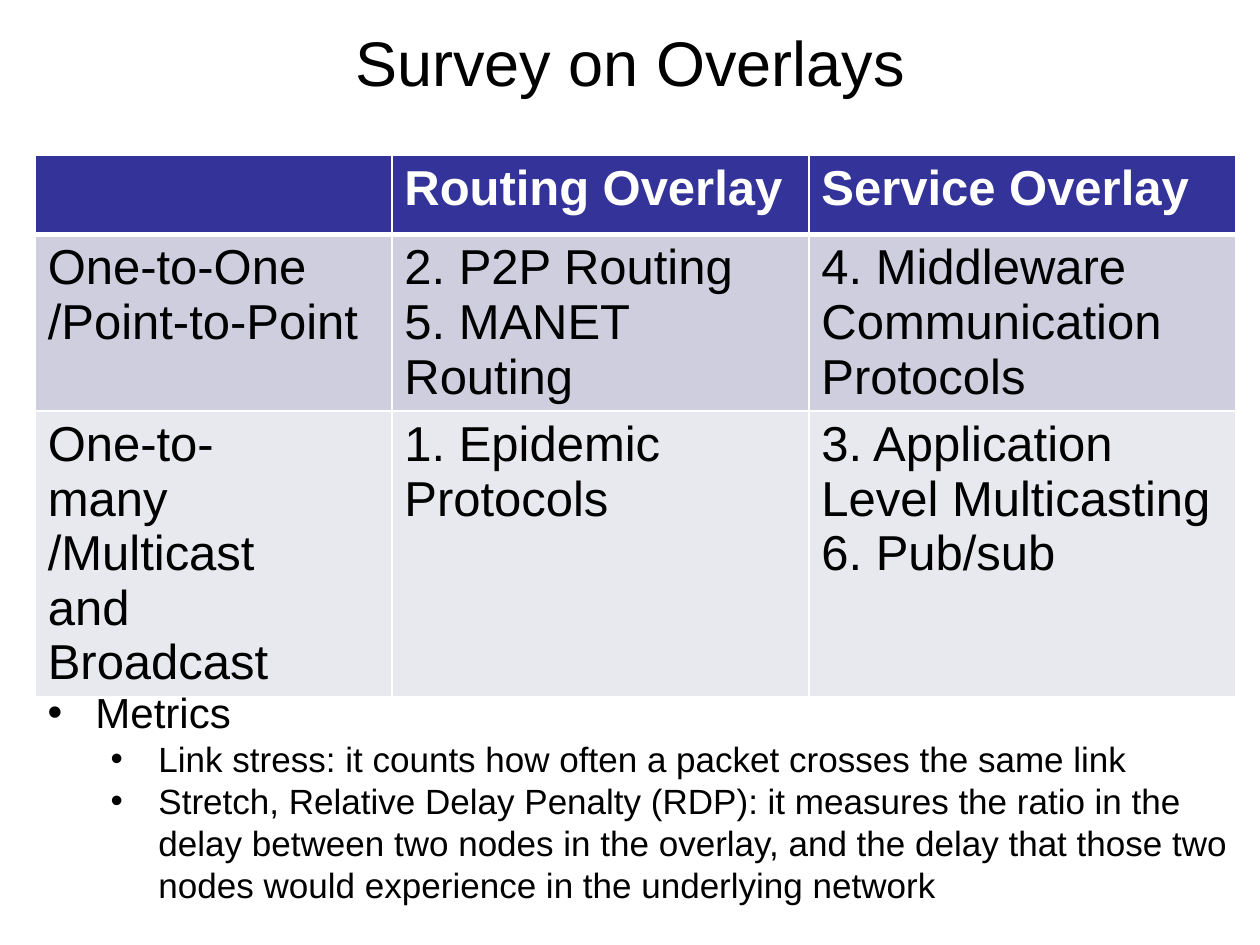
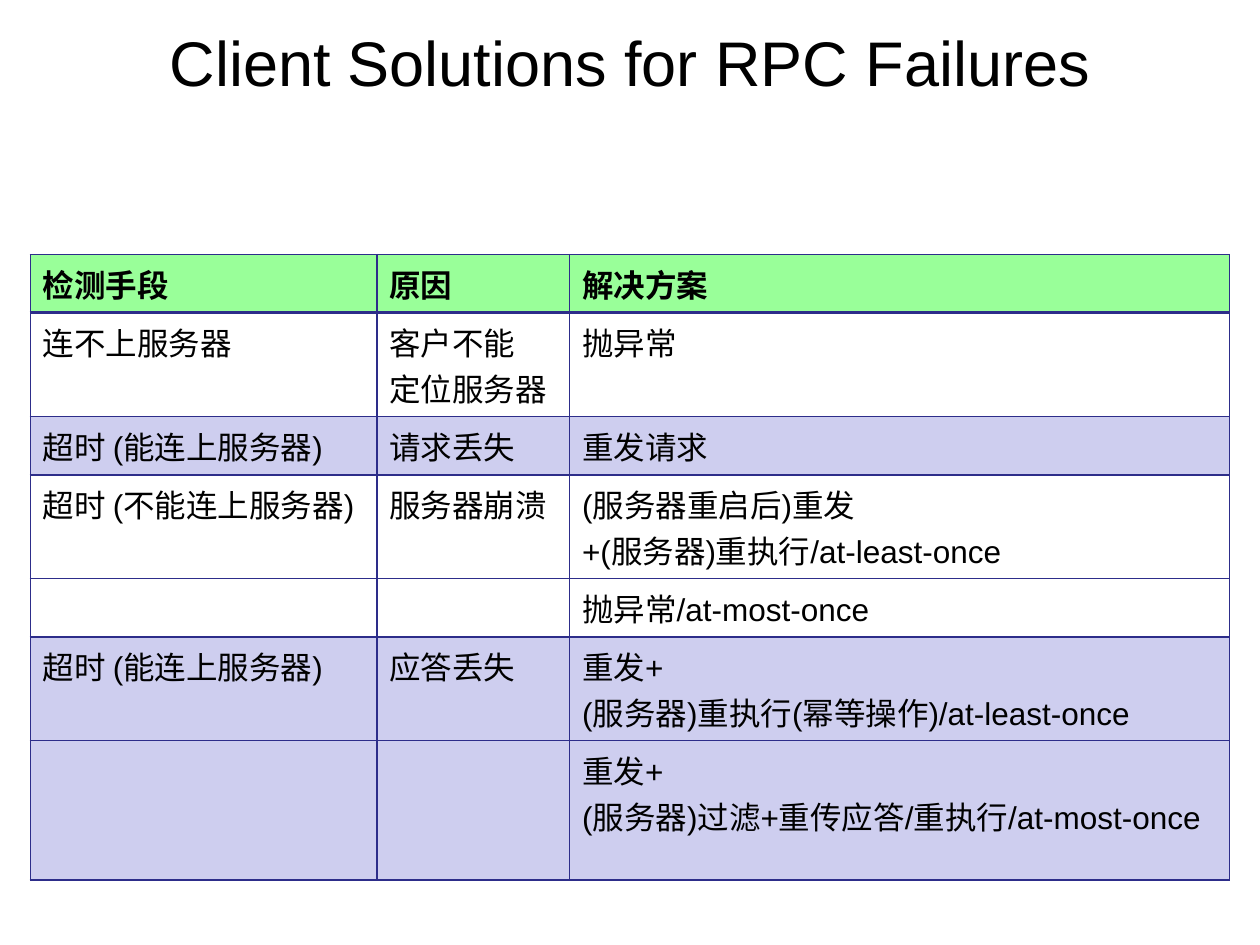
from lxml import etree
from pptx import Presentation
from pptx import util as u
from pptx.dml.color import RGBColor
from pptx.enum import text
from pptx.oxml.ns import qn

PX = 9144  # 100 px to the inch
FONT = "Arial"
BLACK = RGBColor(0x00, 0x00, 0x00)
WHITE = RGBColor(0xFF, 0xFF, 0xFF)
NAVY = RGBColor(0x33, 0x33, 0x99)
NAVY_LINE = RGBColor(0x2D, 0x2D, 0x8A)
GREEN = RGBColor(0x99, 0xFF, 0x99)
LAVENDER = RGBColor(0xCE, 0xCE, 0xEF)
GREY = RGBColor(0xCE, 0xCE, 0xDE)
LIGHT_GREY = RGBColor(0xE8, 0xE8, 0xEF)


def format_runs(paragraph, size, color, bold=False):
    for run in paragraph.runs:
        run.font.name = FONT
        run.font.size = u.Pt(size)
        run.font.bold = bold
        run.font.color.rgb = color


def set_borders(cell, color, top, bottom):
    """Draw the four cell edges; top and bottom are widths in points."""
    properties = cell._tc.get_or_add_tcPr()
    edges = {"lnL": 1, "lnR": 1, "lnT": top, "lnB": bottom}
    for position, (edge, width) in enumerate(edges.items()):
        line = etree.Element(qn(f"a:{edge}"), w=str(u.Pt(width)))
        fill = etree.SubElement(line, qn("a:solidFill"))
        etree.SubElement(fill, qn("a:srgbClr"), val=str(color))
        properties.insert(position, line)


SLIDES = [
    {
        "title": "Survey on Overlays",
        "left_top": (28, 123),
        "columns": (283, 331, 339),
        "heights": (63, 122, 94),
        "size": 28,
        "header_color": WHITE,
        "line_color": WHITE,
        "header_rule": 3,
        "fills": (NAVY, GREY, LIGHT_GREY),
        "rows": [
            ("", "Routing Overlay", "Service Overlay"),
            ("One-to-One\n/Point-to-Point", "2. P2P Routing\n5. MANET Routing",
             "4. Middleware Communication Protocols"),
            ("One-to-many /Multicast\nand\nBroadcast", "1. Epidemic Protocols",
             "3. Application Level Multicasting\n6. Pub/sub"),
        ],
    },
    {
        "title": "Client Solutions for RPC Failures",
        "left_top": (24, 202),
        "columns": (275, 153, 524),
        "heights": (41,) * 7,
        "size": 18,
        "header_color": BLACK,
        "line_color": NAVY_LINE,
        "header_rule": 2,
        "fills": (GREEN, WHITE, LAVENDER, WHITE, WHITE, LAVENDER, LAVENDER),
        "rows": [
            ("检测手段", "原因", "解决方案"),
            ("连不上服务器", "客户不能\n定位服务器", "抛异常"),
            ("超时 (能连上服务器)", "请求丢失", "重发请求"),
            ("超时 (不能连上服务器)", "服务器崩溃",
             "(服务器重启后)重发\n+(服务器)重执行/at-least-once"),
            ("", "", "抛异常/at-most-once"),
            ("超时 (能连上服务器)", "应答丢失",
             "重发+\n(服务器)重执行(幂等操作)/at-least-once"),
            ("", "", "重发+\n(服务器)过滤+重传应答/重执行/at-most-once"),
        ],
    },
]

# Text, left margin in px, size in points
METRICS = [
    ("Metrics", 38, 24),
    ("Link stress: it counts how often a packet crosses the same link", 88, 20),
    ("Stretch, Relative Delay Penalty (RDP): it measures the ratio in the delay "
     "between two nodes in the overlay, and the delay that those two nodes would "
     "experience in the underlying network", 88, 20),
]
BULLET_INDENT = 38

presentation = Presentation()
presentation.slide_width = 1000 * PX
presentation.slide_height = 750 * PX
title_only = presentation.slide_layouts[5]

for content in SLIDES:
    slide = presentation.slides.add_slide(title_only)
    title = slide.shapes.title
    title.left, title.top, title.width, title.height = (
        length * PX for length in (50, 5, 900, 87))
    title.text_frame.text = content["title"]
    title.text_frame.vertical_anchor = text.MSO_ANCHOR.MIDDLE
    title.text_frame.paragraphs[0].alignment = text.PP_ALIGN.CENTER
    format_runs(title.text_frame.paragraphs[0], 36, BLACK)

    rows, columns, heights = content["rows"], content["columns"], content["heights"]
    left, top = content["left_top"]
    table = slide.shapes.add_table(
        len(rows), len(columns), left * PX, top * PX,
        sum(columns) * PX, sum(heights) * PX).table
    table.horz_banding = False
    for column, width in zip(table.columns, columns):
        column.width = width * PX
    for row, height in zip(table.rows, heights):
        row.height = height * PX

    for row_index, row_texts in enumerate(rows):
        is_header = row_index == 0
        for column_index, cell_text in enumerate(row_texts):
            cell = table.cell(row_index, column_index)
            cell.text_frame.text = cell_text
            cell.fill.solid()
            cell.fill.fore_color.rgb = content["fills"][row_index]
            set_borders(cell, content["line_color"],
                        top=content["header_rule"] if row_index == 1 else 1,
                        bottom=content["header_rule"] if is_header else 1)
            color = content["header_color"] if is_header else BLACK
            for paragraph in cell.text_frame.paragraphs:
                format_runs(paragraph, content["size"], color, bold=is_header)

overlay_slide = presentation.slides[0]
metrics_box = overlay_slide.shapes.add_textbox(28 * PX, 540 * PX, 957 * PX, 185 * PX)
metrics_frame = metrics_box.text_frame
metrics_frame.word_wrap = True
metrics_frame.text = "\n".join(line for line, _, _ in METRICS)
for paragraph, (_, margin, size) in zip(metrics_frame.paragraphs, METRICS):
    paragraph.level = 0 if margin == BULLET_INDENT else 1
    format_runs(paragraph, size, BLACK)
    properties = paragraph._p.get_or_add_pPr()
    properties.set("marL", str(margin * PX))
    properties.set("indent", str(-BULLET_INDENT * PX))
    etree.SubElement(properties, qn("a:buFont"), typeface=FONT)
    etree.SubElement(properties, qn("a:buChar"), char="•")

presentation.save("out.pptx")
